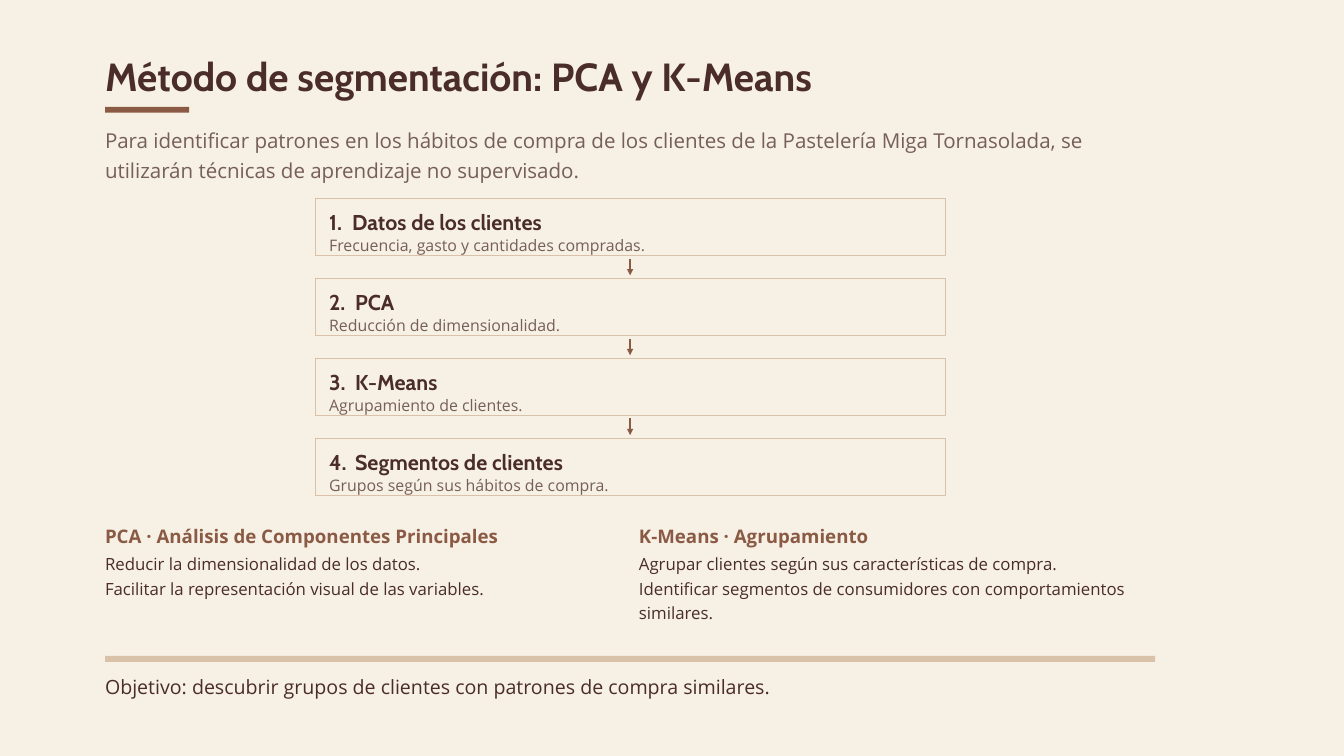
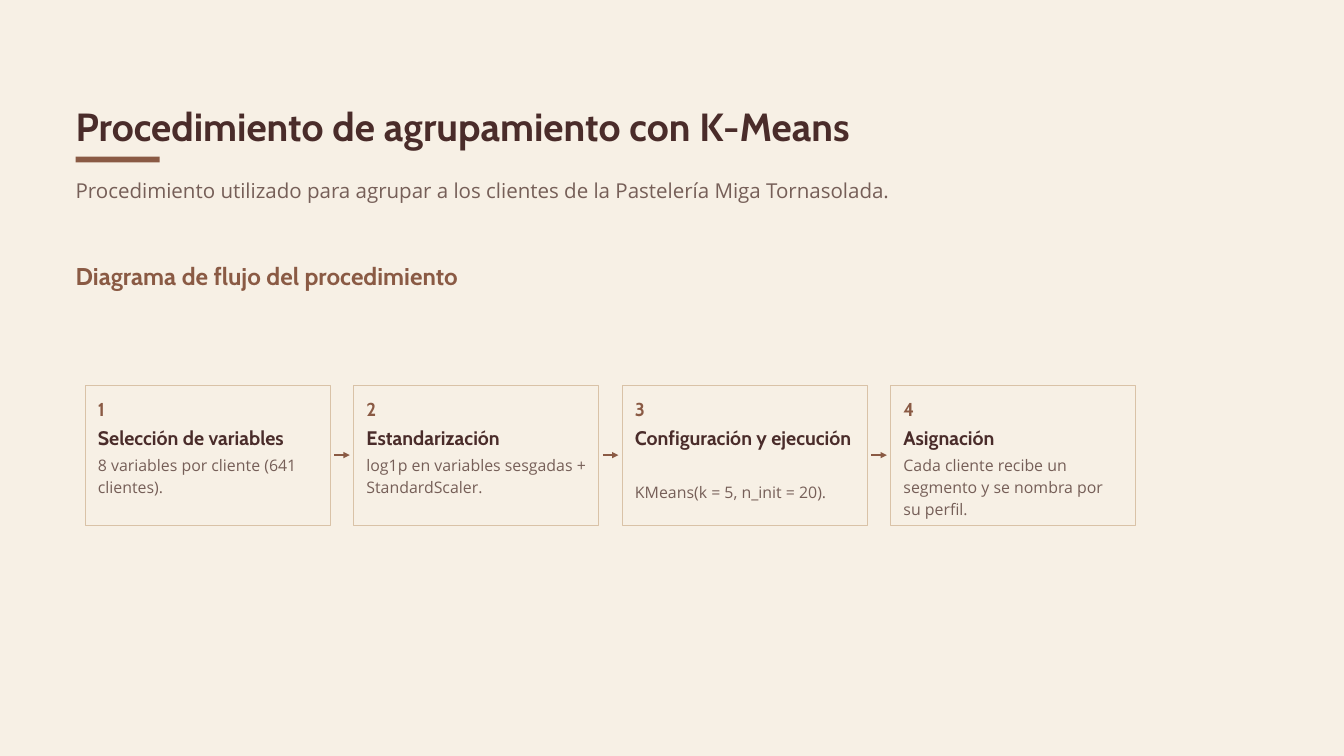
from lxml import etree
from pptx import Presentation
from pptx import util as u
from pptx.dml.color import RGBColor
from pptx.enum import shapes, text
from pptx.oxml.ns import qn

# Content
METHOD = {
    "title": "Método de segmentación: PCA y K-Means",
    "intro": "Para identificar patrones en los hábitos de compra de los clientes de la "
             "Pastelería Miga Tornasolada, se utilizarán técnicas de aprendizaje no supervisado.",
    "steps": [
        ("Datos de los clientes", "Frecuencia, gasto y cantidades compradas."),
        ("PCA", "Reducción de dimensionalidad."),
        ("K-Means", "Agrupamiento de clientes."),
        ("Segmentos de clientes", "Grupos según sus hábitos de compra."),
    ],
    "columns": [
        ("PCA · Análisis de Componentes Principales",
         ["Reducir la dimensionalidad de los datos.",
          "Facilitar la representación visual de las variables."], 2),
        ("K-Means · Agrupamiento",
         ["Agrupar clientes según sus características de compra.",
          "Identificar segmentos de consumidores con comportamientos similares."], 3),
    ],
    "goal": "Objetivo: descubrir grupos de clientes con patrones de compra similares.",
}
PROCEDURE = {
    "title": "Procedimiento de agrupamiento con K-Means",
    "intro": "Procedimiento utilizado para agrupar a los clientes de la "
             "Pastelería Miga Tornasolada.",
    "heading": "Diagrama de flujo del procedimiento",
    # title, lines kept for the title, detail, lines of detail
    "steps": [
        ("Selección de variables", 1, "8 variables por cliente (641 clientes).", 2),
        ("Estandarización", 1, "log1p en variables sesgadas + StandardScaler.", 2),
        ("Configuración y ejecución", 2, "KMeans(k = 5, n_init = 20).", 1),
        ("Asignación", 1, "Cada cliente recibe un segmento y se nombra por su perfil.", 3),
    ],
}

# Shared look
CREAM, DARK, MUTED, BROWN, TAN = "F7F0E5", "4A2C2A", "765F58", "8A5A44", "D9C2A7"
HEAD, BODY = "Cabin", "Open Sans"
STYLES = {  # font, size, line spacing, colour, bold
    "title": (HEAD, 42, 58.8, DARK, True),
    "intro": (BODY, 22, 31.9, MUTED, False),
    "heading": (HEAD, 26, 36.4, BROWN, True),
    "step": (HEAD, 23, 32.2, DARK, True),
    "card": (HEAD, 21, 29.4, DARK, True),
    "number": (HEAD, 20, 28, BROWN, True),
    "detail": (BODY, 17, 23.8, MUTED, False),
    "column": (BODY, 20, 28, BROWN, True),
    "list": (BODY, 18, 26.1, DARK, False),
    "goal": (BODY, 21, 29.4, DARK, False),
}
WIDTH = 39.69


def colour(hex_string):
    return RGBColor.from_string(hex_string)


def add_text(slide, x, y, w, paragraphs, style, lines=1, tab=None):
    font, size, spacing, ink, bold = STYLES[style]
    height = u.Pt(lines * spacing)
    sp = slide.shapes.add_textbox(u.Cm(x), u.Cm(y), u.Cm(w), height)
    tf = sp.text_frame
    tf.word_wrap = True
    tf.auto_size = text.MSO_AUTO_SIZE.SHAPE_TO_FIT_TEXT
    tf.margin_left = tf.margin_right = tf.margin_top = tf.margin_bottom = 0
    for i, words in enumerate(paragraphs):
        p = tf.add_paragraph() if i else tf.paragraphs[0]
        p.line_spacing = u.Pt(spacing)
        if tab:
            stops = etree.SubElement(p._p.get_or_add_pPr(), qn("a:tabLst"))
            etree.SubElement(stops, qn("a:tab"), pos=str(u.Cm(tab)), algn="l")
        r = p.add_run()
        r.text = words
        r.font.name, r.font.size, r.font.bold = font, u.Pt(size), bold
        r.font.color.rgb = colour(ink)


def add_box(slide, x, y, w, h, fill=None, line=None):
    sp = slide.shapes.add_shape(shapes.MSO_SHAPE.RECTANGLE, u.Cm(x), u.Cm(y), u.Cm(w), u.Cm(h))
    sp.shadow.inherit = False
    if fill:
        sp.fill.solid()
        sp.fill.fore_color.rgb = colour(fill)
    else:
        sp.fill.background()
    if line:
        sp.line.color.rgb = colour(line)
        sp.line.width = u.Pt(0.75)
    else:
        sp.line.fill.background()


def add_arrow(slide, x1, y1, x2, y2):
    arrow = slide.shapes.add_connector(
        shapes.MSO_CONNECTOR.STRAIGHT, u.Cm(x1), u.Cm(y1), u.Cm(x2), u.Cm(y2))
    arrow.line.color.rgb = colour(BROWN)
    arrow.line.width = u.Pt(2.25)
    etree.SubElement(arrow.line._get_or_add_ln(), qn("a:tailEnd"), type="triangle")
    etree.SubElement(arrow._element.spPr, qn("a:effectLst"))


def new_slide(prs, content, x, y, intro_lines):
    """Background, title, short bar and introduction."""
    slide = prs.slides.add_slide(prs.slide_layouts[6])
    slide.background.fill.solid()
    slide.background.fill.fore_color.rgb = colour(CREAM)
    add_text(slide, x, y, WIDTH, [content["title"]], "title")
    add_box(slide, x, y + 2.34, 3.18, 0.22, fill=BROWN)
    add_text(slide, x, y + 2.95, WIDTH, [content["intro"]], "intro", intro_lines)
    return slide


def build_method(prs):
    left = 3.97
    slide = new_slide(prs, METHOD, left, 1.7, 2)

    # Vertical chain of steps
    x, top, w, h, pitch = 11.91, 7.5, 23.81, 2.17, 3.02
    for i, (name, detail) in enumerate(METHOD["steps"]):
        y = top + i * pitch
        add_box(slide, x, y, w, h, line=TAN)
        add_text(slide, x + 0.53, y + 0.24, w - 1.06, [f"{i + 1}.\t{name}"], "step",
                 tab=0.98 if i else 0.87)
        add_text(slide, x + 0.53, y + 1.3, w - 1.06, [detail], "detail")
        if i < len(METHOD["steps"]) - 1:
            middle = x + w / 2
            add_arrow(slide, middle, y + h + 0.11, middle, y + h + 0.74)

    # Two columns
    for i, (name, items, lines) in enumerate(METHOD["columns"]):
        column_x = left + i * 20.18
        add_text(slide, column_x, 19.69, 19.51, [name], "column")
        add_text(slide, column_x, 20.78, 19.51, items, "list", lines)

    # Goal under a rule
    add_box(slide, left, 24.8, WIDTH, 0.22, fill=TAN)
    add_text(slide, left, 25.37, WIDTH, [METHOD["goal"]], "goal")


def build_procedure(prs):
    left = 2.86
    slide = new_slide(prs, PROCEDURE, left, 3.58, 1)
    add_text(slide, left, 9.68, WIDTH, [PROCEDURE["heading"]], "heading")

    # Horizontal chain of cards
    top, w, h, pitch = 14.56, 9.25, 5.29, 10.15
    for i, (name, name_lines, detail, lines) in enumerate(PROCEDURE["steps"]):
        x = 3.22 + i * pitch
        text_x, text_w = x + 0.48, w - 0.94
        add_box(slide, x, top, w, h, line=TAN)
        add_text(slide, text_x, top + 0.35, text_w, [str(i + 1)], "number")
        add_text(slide, text_x, top + 1.4, text_w, [name], "card", name_lines)
        add_text(slide, text_x, top + 1.5 + 1.04 * name_lines, text_w, [detail], "detail", lines)
        if i < len(PROCEDURE["steps"]) - 1:
            middle = top + h / 2
            add_arrow(slide, x + w + 0.17, middle, x + w + 0.75, middle)


def main():
    prs = Presentation()
    prs.slide_width, prs.slide_height = u.Cm(50.8), u.Cm(28.58)
    build_method(prs)
    build_procedure(prs)
    prs.save("out.pptx")


if __name__ == "__main__":
    main()
